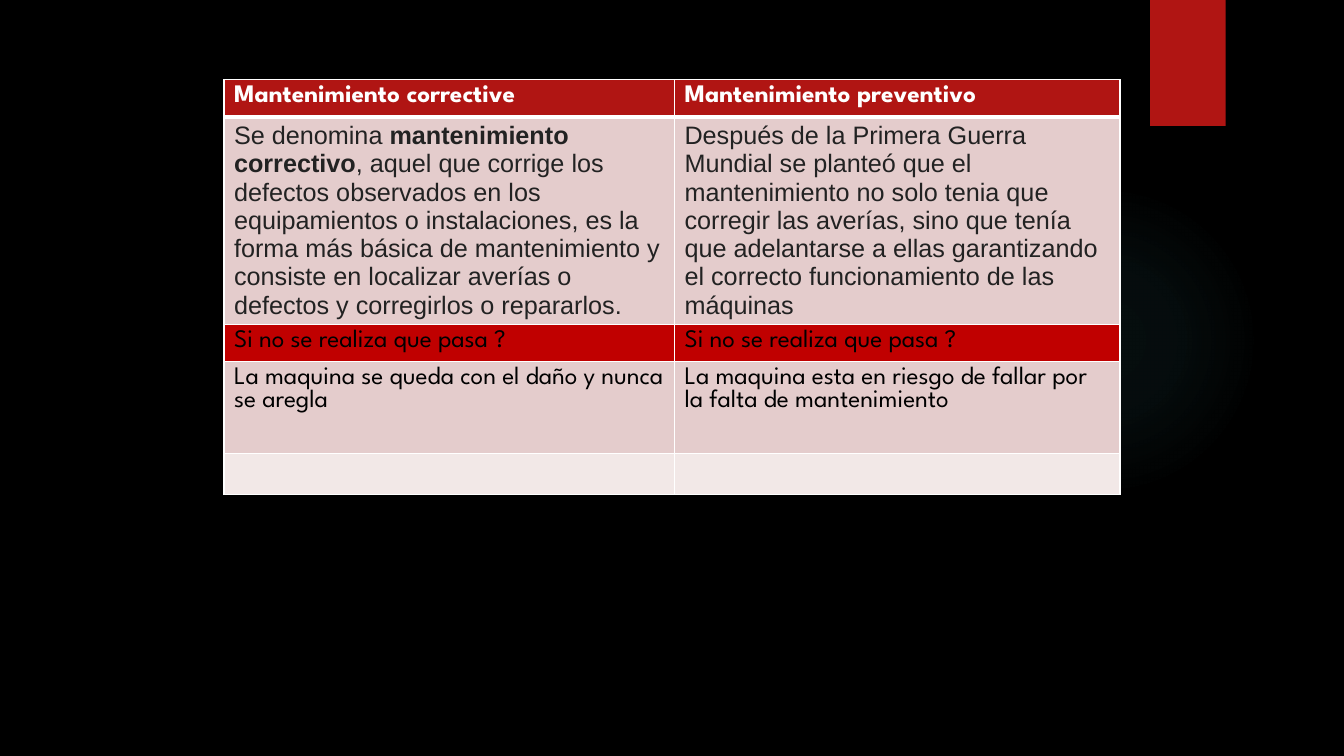
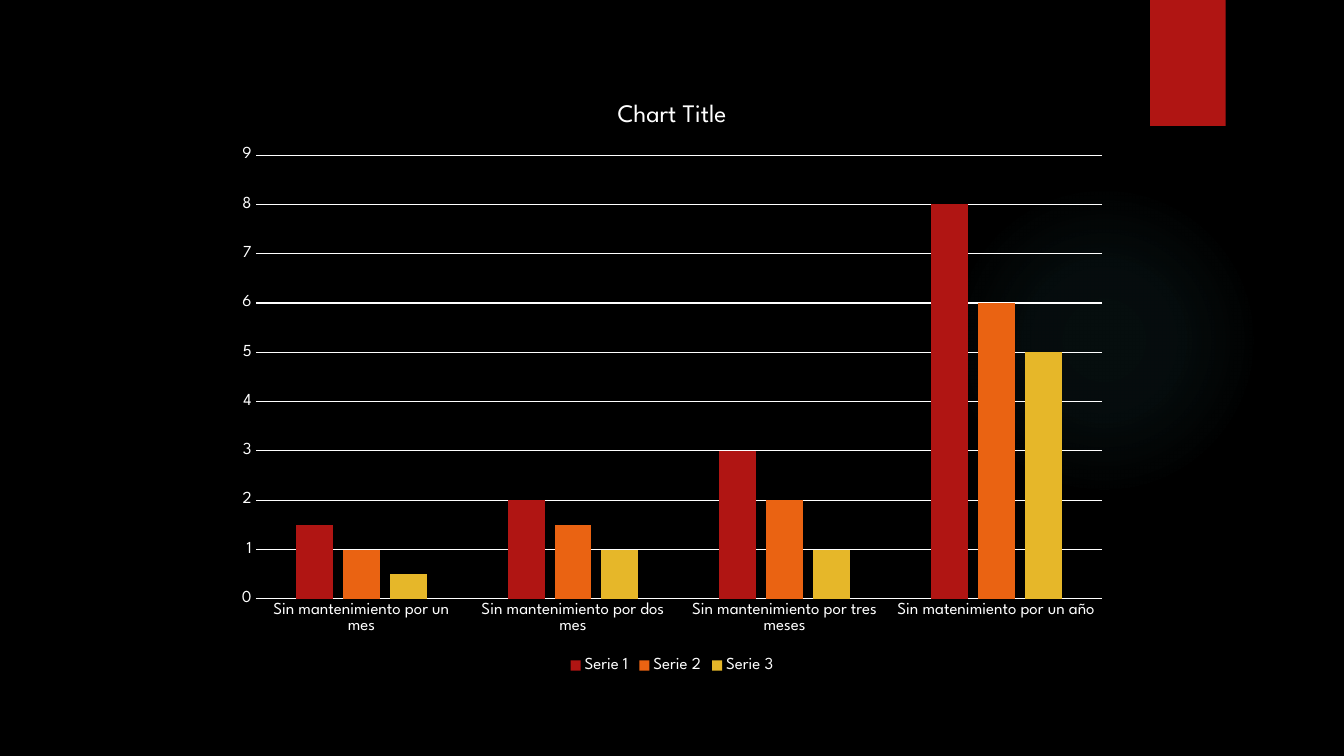
from dataclasses import dataclass

from lxml.etree import SubElement
from pptx import Presentation
from pptx.chart.data import CategoryChartData
from pptx.dml.color import RGBColor
from pptx.enum.chart import XL_CHART_TYPE, XL_LEGEND_POSITION, XL_TICK_MARK
from pptx.enum.shapes import MSO_SHAPE
from pptx.oxml import parse_xml
from pptx.oxml.ns import nsdecls, qn
from pptx.util import Pt


@dataclass(frozen=True)
class Theme:
    black: str = "000000"
    white: str = "FFFFFF"
    red: str = "B01513"
    orange: str = "EA6312"
    yellow: str = "E6B729"
    question: str = "C00000"
    band: str = "E4CCCC"
    pale: str = "F2E8E7"
    ink: str = "222222"
    glow: str = "50B9C1"
    font: str = "League Spartan"
    body_font: str = "Arial"
    text: float = 18
    label: float = 12


T = Theme()
SLIDE = (960, 540)
GLOW = (677.5, 131.8, 221.8, 221.8)
RIBBON = (821.5, 0, 54, 90)
TABLE = (160, 56.9, 640, 290.5)
CHART = (160, 56.9, 640, 427)
COLUMNS = (321.8, 318.2)
ROWS = (26.6, 144.7, 26.6, 65.5, 26.6)

CORRECTIVE = (
    ("Se denomina ", False),
    ("mantenimiento correctivo", True),
    (", aquel que corrige los defectos observados en los equipamientos o "
     "instalaciones, es la forma más básica de mantenimiento y consiste en "
     "localizar averías o defectos y corregirlos o repararlos.", False),
)
PREVENTIVE = (
    "Después de la Primera Guerra Mundial se planteó que el mantenimiento no "
    "solo tenia que corregir las averías, sino que tenía que adelantarse a "
    "ellas garantizando el correcto funcionamiento de las máquinas"
)
QUESTION = "Si no se realiza que pasa ?"
COMPARISON = (
    (("Mantenimiento corrective", "Mantenimiento preventivo"), T.red,
     dict(color=T.white, bold=True)),
    ((CORRECTIVE, PREVENTIVE), T.band, dict(font=T.body_font, color=T.ink)),
    ((QUESTION, QUESTION), T.question, {}),
    (("La maquina se queda con el daño y nunca se aregla",
      "La maquina esta en riesgo de fallar por la falta de mantenimiento"),
     T.band, {}),
    (("", ""), T.pale, {}),
)
PERIODS = (
    "Sin mantenimiento por un mes",
    "Sin mantenimiento por dos mes",
    "Sin mantenimiento por tres meses",
    "Sin matenimiento por un año",
)
SERIES = (
    ("Serie 1", (1.5, 2, 3, 8), T.red),
    ("Serie 2", (1, 1.5, 2, 6), T.orange),
    ("Serie 3", (0.5, 1, 1, 5), T.yellow),
)


def rgb(value):
    return RGBColor.from_string(value)


def pts(box):
    return [Pt(v) for v in box]


def paint(fill, color):
    fill.solid()
    fill.fore_color.rgb = rgb(color)


def style_font(f, size=T.text, color=T.black, font=T.font, bold=False):
    f.size = Pt(size)
    f.name = font
    f.bold = bold
    f.color.rgb = rgb(color)


def write(tf, text, bold=False, **fmt):
    p = tf.paragraphs[0]
    runs = ((text, bold),) if isinstance(text, str) else text
    for part, strong in runs:
        if part:
            r = p.add_run()
            r.text = part
            style_font(r.font, bold=strong, **fmt)


def add_plain(s, kind, box):
    sp = s.shapes.add_shape(kind, *pts(box))
    sp.shadow.inherit = False
    sp.line.fill.background()
    return sp


def add_glow(s, box):
    sp = add_plain(s, MSO_SHAPE.OVAL, box)
    stops = "".join(
        f'<a:gs pos="{pos * 1000}"><a:srgbClr val="{T.glow}">'
        f'<a:alpha val="{alpha * 1000}"/></a:srgbClr></a:gs>'
        for pos, alpha in ((0, 7), (36, 6), (69, 0))
    )
    sp.fill.gradient()
    old = sp.element.spPr.find(qn("a:gradFill"))
    old.getparent().replace(old, parse_xml(
        f'<a:gradFill {nsdecls("a")} rotWithShape="1"><a:gsLst>{stops}</a:gsLst>'
        '<a:path path="circle"><a:fillToRect l="50000" t="50000" '
        'r="50000" b="50000"/></a:path></a:gradFill>'))


def add_base(prs):
    s = prs.slides.add_slide(prs.slide_layouts[6])
    paint(s.background.fill, T.black)
    add_glow(s, GLOW)
    ribbon = add_plain(s, MSO_SHAPE.RECTANGLE, RIBBON)
    paint(ribbon.fill, T.red)
    return s


def set_borders(cell, top=1, bottom=1):
    tc_pr = cell._tc.get_or_add_tcPr()
    for side, width in (("L", 1), ("R", 1), ("T", top), ("B", bottom)):
        ln = SubElement(tc_pr, qn(f"a:ln{side}"), w=str(Pt(width)))
        fill = SubElement(ln, qn("a:solidFill"))
        SubElement(fill, qn("a:srgbClr"), val=T.white)


def add_comparison(s, box):
    table = s.shapes.add_table(len(ROWS), len(COLUMNS), *pts(box)).table
    table.horz_banding = False
    for column, width in zip(table.columns, COLUMNS):
        column.width = Pt(width)
    for i, (texts, fill, fmt) in enumerate(COMPARISON):
        table.rows[i].height = Pt(ROWS[i])
        for j, text in enumerate(texts):
            cell = table.cell(i, j)
            set_borders(cell, top=3 if i == 1 else 1, bottom=3 if i == 0 else 1)
            paint(cell.fill, fill)
            write(cell.text_frame, text, **fmt)


def style_axis(axis):
    axis.major_tick_mark = axis.minor_tick_mark = XL_TICK_MARK.NONE
    style_font(axis.tick_labels.font, size=T.label, color=T.white)


def style_line(line):
    line.color.rgb = rgb(T.white)
    line.width = Pt(0.75)


def add_column_chart(s, box):
    data = CategoryChartData()
    data.categories = PERIODS
    for name, values, _ in SERIES:
        data.add_series(name, values)
    chart = s.shapes.add_chart(
        XL_CHART_TYPE.COLUMN_CLUSTERED, *pts(box), data).chart
    style_font(chart.font, size=T.label, color=T.white)
    chart.has_title = True
    write(chart.chart_title.text_frame, "Chart Title", color=T.white)
    chart.chart_title.include_in_layout = False
    chart.has_legend = True
    chart.legend.position = XL_LEGEND_POSITION.BOTTOM
    chart.legend.include_in_layout = False
    style_font(chart.legend.font, size=T.label, color=T.white)
    style_axis(chart.category_axis)
    style_line(chart.category_axis.format.line)
    style_axis(chart.value_axis)
    chart.value_axis.format.line.fill.background()
    style_line(chart.value_axis.major_gridlines.format.line)
    plot = chart.plots[0]
    plot.vary_by_categories = False
    plot.gap_width = 219
    plot.overlap = -27
    for series, (_, _, color) in zip(plot.series, SERIES):
        paint(series.format.fill, color)


def main():
    prs = Presentation()
    prs.slide_width, prs.slide_height = pts(SLIDE)
    add_comparison(add_base(prs), TABLE)
    add_column_chart(add_base(prs), CHART)
    prs.save("out.pptx")


if __name__ == "__main__":
    main()
